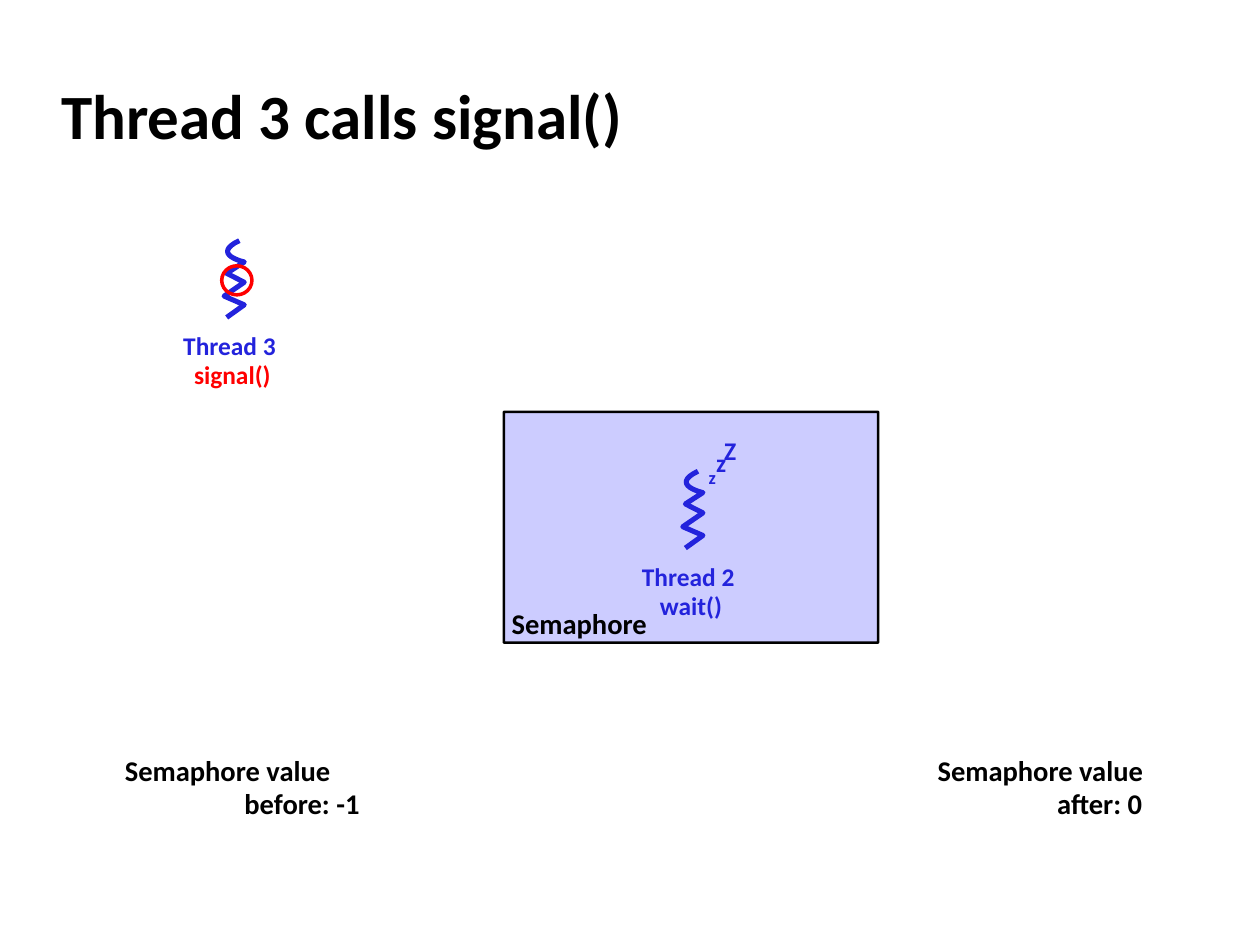
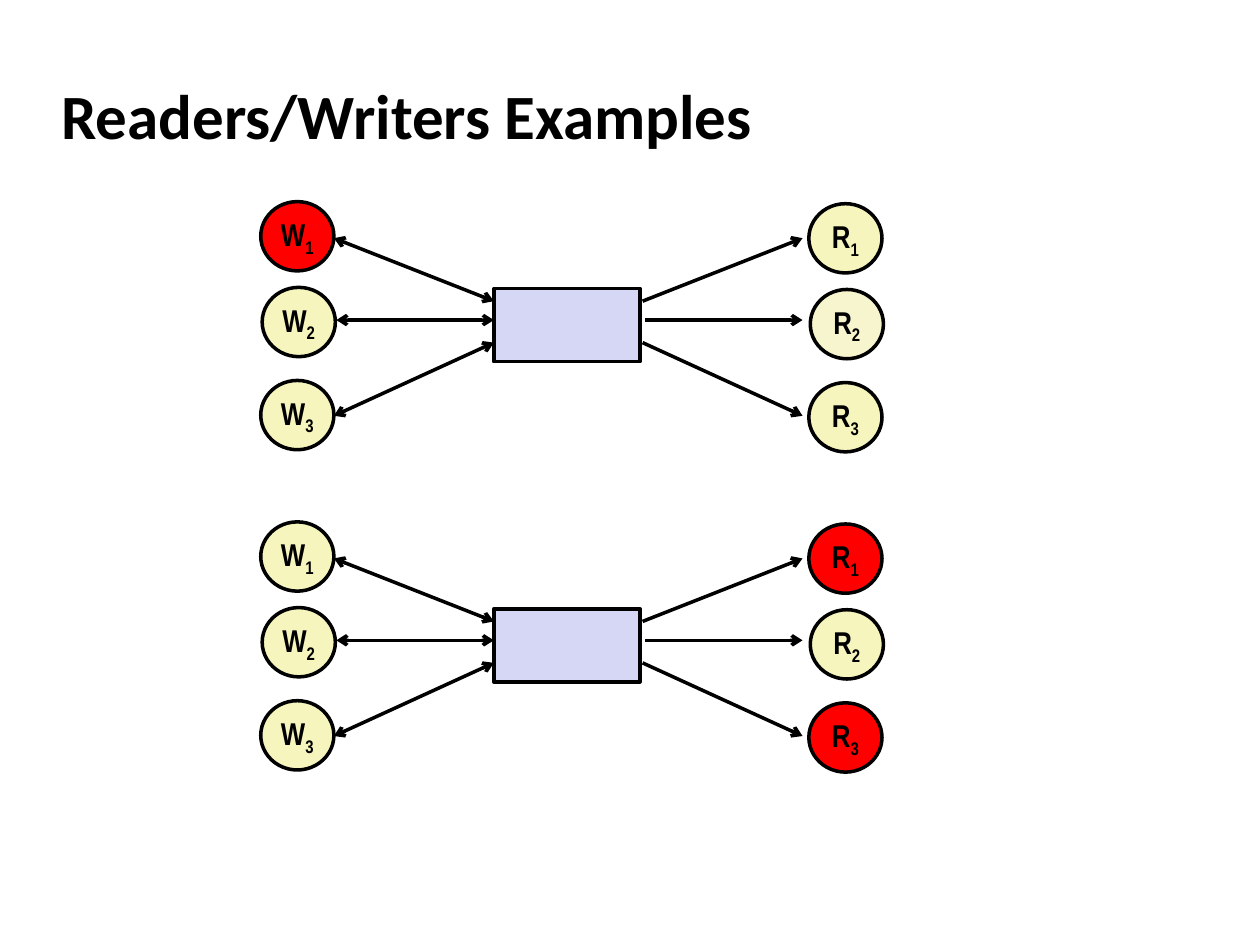
from dataclasses import dataclass
from typing import NamedTuple

from lxml.etree import SubElement
from pptx import Presentation
from pptx.dml.color import RGBColor
from pptx.enum.shapes import MSO_CONNECTOR as Connector, MSO_SHAPE as Preset
from pptx.enum.text import MSO_ANCHOR as Anchor, PP_ALIGN as Align
from pptx.oxml.ns import qn
from pptx.util import Pt

BLACK = RGBColor(0x00, 0x00, 0x00)
RED = RGBColor(0xFF, 0x00, 0x00)
THREAD_BLUE = RGBColor(0x23, 0x23, 0xDC)
SEMAPHORE_BLUE = RGBColor(0xCC, 0xCC, 0xFF)
BUFFER_BLUE = RGBColor(0xD6, 0xD6, 0xF5)
CREAM = RGBColor(0xF6, 0xF5, 0xBD)
PALE_CREAM = RGBColor(0xF7, 0xF5, 0xCD)

BODY_FONT = "Calibri"
NODE_FONT = "Arial Narrow"
THREAD_SIZE = 14.5
VALUE_SIZE = 16.3


class Frame(NamedTuple):
    """Left, top, width and height in points."""
    left: float
    top: float
    width: float
    height: float


class Line(NamedTuple):
    """One paragraph of text with its colour and left indent in points."""
    text: str
    color: RGBColor = BLACK
    indent: float = 0


@dataclass
class Thread:
    """A squiggle with its caption, placed by its top left corner."""
    left: float
    top: float
    caption: tuple[Line, ...]


@dataclass
class Example:
    """One writers-buffer-readers diagram; colours run from top to bottom."""
    shift: float
    writers: tuple[RGBColor, ...]
    readers: tuple[RGBColor, ...]


class Row(NamedTuple):
    """Circle corner and arrow ends of one writer in the first diagram."""
    left: float
    top: float
    arrow_x: float
    circle_y: float
    buffer_y: float


ROWS = (
    Row(149, 115.2, 190.8, 136.1, 172.1),
    Row(149.8, 164.2, 192.2, 182.9, 182.9),
    Row(149, 217.4, 190.8, 237.6, 195.8),
)
BUFFER = Frame(282.2, 164.9, 83.5, 41.8)
READER_DX, READER_DY = 313.2, 1.2
READER_ARROW_DX = 176.4

# Squiggle, relative to the thread corner: a curved top, then zigzags.
CURVE = ((16.6, 0), (0, 7.9), (19.4, 12.2), (19.4, 12.2))
ZIGZAG = ((9.4, 18.7), (19.4, 23.8), (7.9, 31.7), (19.4, 36.7), (9.4, 43.9))
CURVE_STEPS = 16


def points(*values: float) -> list[Pt]:
    """Turn numbers into point lengths."""
    return [Pt(value) for value in values]


def add_text(page, frame: Frame, lines: tuple[Line, ...], size: float,
             align=Align.LEFT, wrap: bool = True) -> None:
    """Add a bold text box without insets."""
    text = page.shapes.add_textbox(*points(*frame)).text_frame
    text.word_wrap = wrap
    text.margin_left = text.margin_right = text.margin_top = text.margin_bottom = 0
    for index, line in enumerate(lines):
        para = text.paragraphs[0] if index == 0 else text.add_paragraph()
        para.text = line.text
        para.alignment = align
        para.line_spacing = 0.95
        if line.indent:
            para._p.get_or_add_pPr().set("marL", str(Pt(line.indent)))
        font = para.font
        font.name, font.size, font.bold = BODY_FONT, Pt(size), True
        font.color.rgb = line.color


def add_title(page, title: str) -> None:
    """Add the slide title."""
    text = page.shapes.add_textbox(*points(28, 35.3, 597.6, 59.8)).text_frame
    text.word_wrap = True
    text.vertical_anchor = Anchor.MIDDLE
    para = text.paragraphs[0]
    para.text = title
    font = para.font
    font.name, font.size, font.bold = BODY_FONT, Pt(36), True
    font.color.rgb = BLACK


def add_preset(page, preset, frame: Frame, fill: RGBColor | None,
               line: RGBColor = BLACK, weight: float = 2):
    """Add a flat preset shape; no fill colour leaves it open."""
    shape = page.shapes.add_shape(preset, *points(*frame))
    shape.shadow.inherit = False
    if fill is None:
        shape.fill.background()
    else:
        shape.fill.solid()
        shape.fill.fore_color.rgb = fill
    shape.line.color.rgb = line
    shape.line.width = Pt(weight)
    return shape


def curve_point(t: float) -> tuple[float, float]:
    """Point on the cubic curve at the top of a squiggle."""
    weights = ((1 - t) ** 3, 3 * t * (1 - t) ** 2, 3 * t * t * (1 - t), t ** 3)
    x, y = (sum(w * c[axis] for w, c in zip(weights, CURVE)) for axis in (0, 1))
    return x, y


def add_thread(page, thread: Thread) -> None:
    """Draw a thread's squiggle and its caption below."""
    outline = [curve_point(i / CURVE_STEPS) for i in range(CURVE_STEPS + 1)]
    outline += ZIGZAG
    corners = [tuple(points(thread.left + x, thread.top + y)) for x, y in outline]
    builder = page.shapes.build_freeform(*corners[0])
    builder.add_line_segments(corners[1:], close=False)
    squiggle = builder.convert_to_shape()
    squiggle.shadow.inherit = False
    squiggle.fill.background()
    squiggle.line.color.rgb = THREAD_BLUE
    squiggle.line.width = Pt(2.89)
    add_text(page, Frame(thread.left - 22.3, thread.top + 52.6, 69.8, 33.8),
             thread.caption, THREAD_SIZE, Align.CENTER, wrap=False)


def add_arrow(page, start: tuple[float, float], end: tuple[float, float],
              both: bool) -> None:
    """Draw a line with an open arrowhead at its start, or at both ends."""
    arrow = page.shapes.add_connector(Connector.STRAIGHT, *points(*start, *end))
    arrow.line.color.rgb = BLACK
    arrow.line.width = Pt(2)
    outline = arrow.line._get_or_add_ln()
    for tag in ("a:headEnd", "a:tailEnd") if both else ("a:headEnd",):
        SubElement(outline, qn(tag), type="arrow")
    SubElement(arrow._element.spPr, qn("a:effectLst"))


def add_node(page, left: float, top: float, letter: str, number: int,
             fill: RGBColor) -> None:
    """Draw a circle with a letter and a subscript number."""
    node = add_preset(page, Preset.OVAL, Frame(left, top, 41.8, 39.6), fill)
    text = node.text_frame
    text.word_wrap = False
    text.margin_top = text.margin_bottom = 0
    text.vertical_anchor = Anchor.MIDDLE
    para = text.paragraphs[0]
    para.alignment = Align.CENTER
    font = para.font
    font.name, font.size, font.bold = NODE_FONT, Pt(18), True
    font.color.rgb = BLACK
    para.add_run().text = letter
    subscript = para.add_run()
    subscript.text = str(number)
    subscript._r.get_or_add_rPr().set("baseline", "-25000")


def add_example(page, example: Example) -> None:
    """Draw writers, buffer and readers with their arrows."""
    shift = example.shift
    add_preset(page, Preset.RECTANGLE,
               BUFFER._replace(top=BUFFER.top + shift), BUFFER_BLUE)
    rows = zip(ROWS, example.writers, example.readers)
    for number, (row, writer, reader) in enumerate(rows, start=1):
        top = row.top + shift
        circle_y, buffer_y = row.circle_y + shift, row.buffer_y + shift
        add_node(page, row.left, top, "W", number, writer)
        add_node(page, row.left + READER_DX, top + READER_DY, "R", number, reader)
        add_arrow(page, (row.arrow_x, circle_y), (BUFFER.left, buffer_y), both=True)
        add_arrow(page, (BUFFER.left + READER_ARROW_DX, circle_y),
                  (row.arrow_x + READER_ARROW_DX, buffer_y), both=False)


def build_signal_page(page) -> None:
    """Thread 3 signals while thread 2 sleeps in the semaphore."""
    semaphore = add_preset(page, Preset.ROUNDED_RECTANGLE,
                           Frame(288, 235.4, 213.8, 131.8), SEMAPHORE_BLUE,
                           weight=1.45)
    semaphore.adjustments[0] = 0.001
    add_title(page, "Thread 3 calls signal()")
    add_thread(page, Thread(120.2, 137.5, (Line("Thread 3 ", THREAD_BLUE),
                                           Line("signal()", RED))))
    for letter, left, top, size in (("Z", 382.3, 249.8, THREAD_SIZE),
                                    ("z", 377.3, 257, THREAD_SIZE),
                                    ("z", 372.2, 267.1, 10.5)):
        add_text(page, Frame(left, top, 69.8, 33.8), (Line(letter, THREAD_BLUE),),
                 size, Align.CENTER, wrap=False)
    add_thread(page, Thread(382.3, 269.3, (Line("Thread 2 ", THREAD_BLUE),
                                           Line("wait()", THREAD_BLUE))))
    add_preset(page, Preset.OVAL, Frame(126.7, 151.9, 17.3, 16.6), None, RED)
    add_text(page, Frame(288.7, 347.8, 213.8, 18.7), (Line(" Semaphore"),), VALUE_SIZE)
    for left, value in ((67.7, "before: -1"), (532.1, "after: 0")):
        add_text(page, Frame(left, 432, 213.8, 18.7),
                 (Line(" Semaphore value"), Line(value, indent=72)), VALUE_SIZE)


def build_examples_page(page) -> None:
    """One active writer above, two active readers below."""
    add_title(page, "Readers/Writers Examples")
    add_example(page, Example(0, (RED, CREAM, CREAM), (CREAM, PALE_CREAM, CREAM)))
    add_example(page, Example(183, (CREAM, CREAM, CREAM), (RED, CREAM, RED)))


def main() -> None:
    """Build the deck and save it."""
    deck = Presentation()
    deck.slide_width, deck.slide_height = points(720, 540)
    blank = deck.slide_layouts[6]
    for build in (build_signal_page, build_examples_page):
        build(deck.slides.add_slide(blank))
    deck.save("out.pptx")


main()
